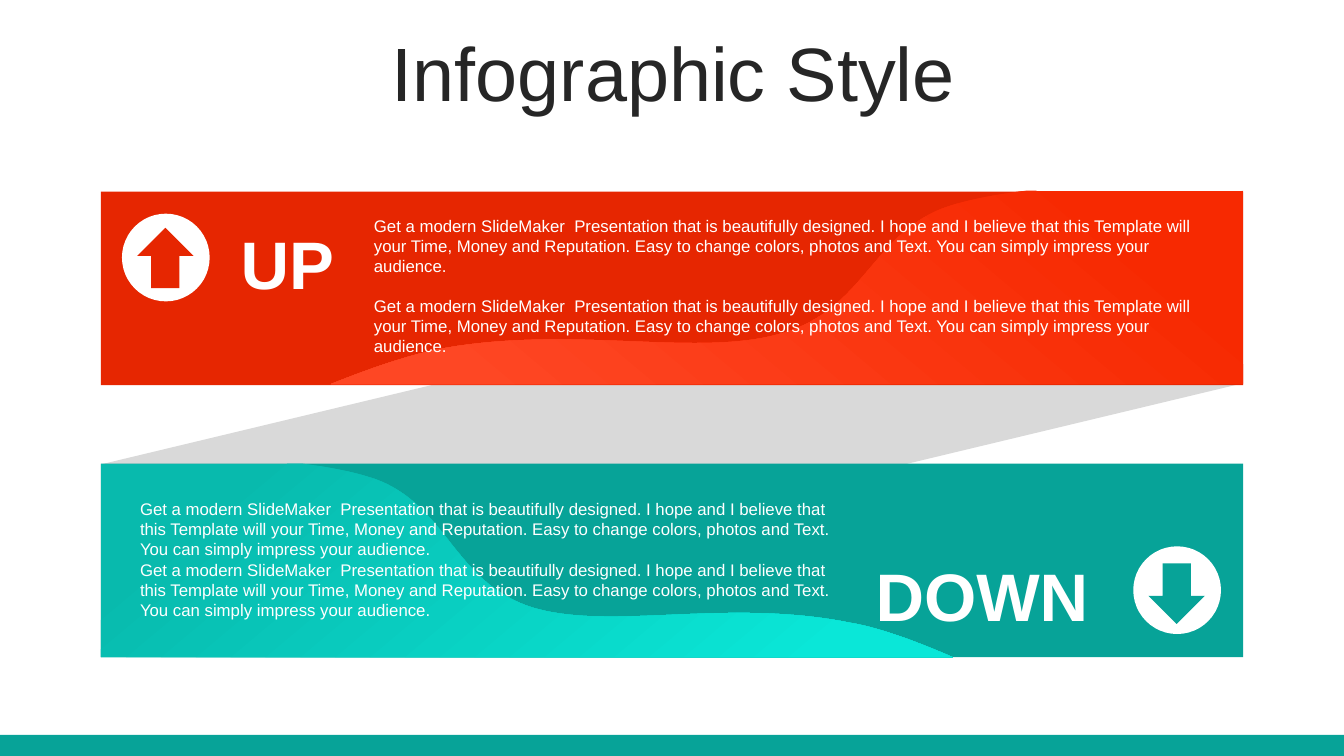
from dataclasses import dataclass

from lxml import etree
from pptx import Presentation
from pptx import util as u
from pptx.dml.color import RGBColor
from pptx.enum import shapes, text
from pptx.oxml.ns import qn

EMU_PER_PX = 9144  # 100 px to the inch

Point = tuple[int, int]
Box = tuple[int, int, int, int]  # left, top, width, height


@dataclass(frozen=True)
class Theme:
    font: str = "Arial"
    title_color: str = "262626"
    white: str = "FFFFFF"
    ribbon: str = "D9D9D9"
    red: str = "E62601"
    red_wave: tuple[str, str] = ("F72901", "FE4724")
    teal: str = "07A398"
    teal_wave: tuple[str, str] = ("08BAAD", "0AE7D8")
    title_size: int = 54
    label_size: int = 48
    body_size: int = 12


@dataclass(frozen=True)
class Panel:
    label: str
    label_box: Box
    body_box: Box
    paragraph_gap: int
    box: Box
    color: str
    wave_colors: tuple[str, str]
    wave_angle: int
    wave_corners: list[Point]
    wave_curves: list[tuple[Point, Point, Point]]
    circle_box: Box
    arrow_box: Box
    arrow_rotation: int


THEME = Theme()
BODY = (
    "Get a modern SlideMaker  Presentation that is beautifully designed. "
    "I hope and I believe that this Template will your Time, Money and Reputation. "
    "Easy to change colors, photos and Text. You can simply impress your audience."
)

PANELS = [
    Panel(
        label="UP", label_box=(223, 220, 124, 81),
        body_box=(361, 209, 835, 111), paragraph_gap=14,
        box=(100, 190, 1133, 192), color=THEME.red,
        wave_colors=THEME.red_wave, wave_angle=230,
        wave_corners=[(1019, 189), (1233, 189), (1233, 381), (328, 381)],
        wave_curves=[
            ((368, 365), (406, 352), (437, 346)),
            ((568, 322), (691, 355), (774, 331)),
            ((856, 308), (864, 235), (934, 207)),
            ((955, 199), (986, 193), (1019, 189)),
        ],
        circle_box=(121, 212, 87, 87), arrow_box=(136, 226, 56, 60),
        arrow_rotation=0,
    ),
    Panel(
        label="DOWN", label_box=(832, 549, 284, 81),
        body_box=(129, 490, 718, 131), paragraph_gap=0,
        box=(100, 460, 1133, 192), color=THEME.teal,
        wave_colors=THEME.teal_wave, wave_angle=310,
        wave_corners=[(300, 460), (100, 460), (100, 652), (945, 652)],
        wave_curves=[
            ((908, 636), (873, 623), (844, 618)),
            ((721, 593), (607, 626), (529, 603)),
            ((452, 579), (445, 507), (379, 478)),
            ((360, 470), (331, 464), (300, 460)),
        ],
        circle_box=(1124, 542, 87, 87), arrow_box=(1139, 559, 56, 60),
        arrow_rotation=180,
    ),
]


def px(value: int) -> int:
    return value * EMU_PER_PX


def rgb(color: str) -> RGBColor:
    return RGBColor.from_string(color)


def add_preset(slide, kind, box: Box, color: str, *, rotation: int = 0):
    shape = slide.shapes.add_shape(kind, *map(px, box))
    shape.shadow.inherit = False
    shape.fill.solid()
    shape.fill.fore_color.rgb = rgb(color)
    shape.line.fill.background()
    shape.rotation = rotation
    return shape


def write_paragraph(paragraph, content: str, *, size: int, color: str,
                    bold: bool = False, align=text.PP_ALIGN.LEFT,
                    space_before: int = 0) -> None:
    paragraph.text = content
    paragraph.alignment = align
    paragraph.space_before = u.Pt(space_before)
    paragraph.font.name = THEME.font
    paragraph.font.size = u.Pt(size)
    paragraph.font.bold = bold
    paragraph.font.color.rgb = rgb(color)


def add_text_frame(slide, box: Box):
    frame = slide.shapes.add_textbox(*map(px, box)).text_frame
    frame.word_wrap = True
    return frame


def bend_lines(shape, first_line: int) -> None:
    """Turn each three lines from first_line on into one cubic curve."""
    lines = list(shape._element.iter(qn("a:lnTo")))[first_line:]
    for start in range(0, len(lines), 3):
        curve = etree.Element(qn("a:cubicBezTo"))
        lines[start].addprevious(curve)
        for line in lines[start:start + 3]:
            curve.append(line[0])
            line.getparent().remove(line)


def add_wave(slide, panel: Panel) -> None:
    controls = [point for curve in panel.wave_curves for point in curve]
    outline = panel.wave_corners + controls
    builder = slide.shapes.build_freeform(*outline[0], scale=EMU_PER_PX)
    builder.add_line_segments(outline[1:], close=True)
    shape = builder.convert_to_shape()
    bend_lines(shape, first_line=len(panel.wave_corners) - 1)
    shape.shadow.inherit = False
    shape.line.fill.background()
    shape.fill.gradient()
    shape.fill.gradient_angle = panel.wave_angle
    stops = zip(shape.fill.gradient_stops, panel.wave_colors, (0.14, 0.88))
    for stop, color, position in stops:
        stop.color.rgb = rgb(color)
        stop.position = position


def add_panel(slide, panel: Panel) -> None:
    # Coloured band with its wave
    add_preset(slide, shapes.MSO_SHAPE.RECTANGLE, panel.box, panel.color)
    add_wave(slide, panel)

    # Large label
    frame = add_text_frame(slide, panel.label_box)
    frame.margin_left = frame.margin_right = 0
    frame.margin_top = frame.margin_bottom = 0
    frame.vertical_anchor = text.MSO_ANCHOR.BOTTOM
    write_paragraph(frame.paragraphs[0], panel.label, size=THEME.label_size,
                    color=THEME.white, bold=True, align=text.PP_ALIGN.CENTER)

    # Arrow in a circle
    add_preset(slide, shapes.MSO_SHAPE.OVAL, panel.circle_box, THEME.white)
    add_preset(slide, shapes.MSO_SHAPE.UP_ARROW, panel.arrow_box, panel.color,
               rotation=panel.arrow_rotation)

    # Body text
    frame = add_text_frame(slide, panel.body_box)
    write_paragraph(frame.paragraphs[0], BODY, size=THEME.body_size,
                    color=THEME.white)
    write_paragraph(frame.add_paragraph(), BODY, size=THEME.body_size,
                    color=THEME.white, space_before=panel.paragraph_gap)


def add_title(slide, content: str) -> None:
    title = slide.shapes.title
    title.left, title.top, title.width, title.height = map(px, (35, 37, 1266, 79))
    frame = title.text_frame
    frame.auto_size = text.MSO_AUTO_SIZE.NONE
    frame.vertical_anchor = text.MSO_ANCHOR.MIDDLE
    write_paragraph(frame.paragraphs[0], content, size=THEME.title_size,
                    color=THEME.title_color, align=text.PP_ALIGN.CENTER)
    frame.paragraphs[0].line_spacing = 0.9


def main() -> None:
    presentation = Presentation()
    presentation.slide_width, presentation.slide_height = px(1333), px(750)
    slide = presentation.slides.add_slide(presentation.slide_layouts[5])
    add_title(slide, "Infographic Style")

    # Footer strip
    add_preset(slide, shapes.MSO_SHAPE.RECTANGLE, (0, 729, 1333, 21), THEME.teal)

    # Folded ribbon between the panels
    ribbon = add_preset(slide, shapes.MSO_SHAPE.PARALLELOGRAM,
                        (435, -146, 463, 1133), THEME.ribbon, rotation=270)
    ribbon.adjustments[0] = 0.587
    ribbon._element.spPr.find(qn("a:xfrm")).set("flipH", "1")

    for panel in PANELS:
        add_panel(slide, panel)
    presentation.save("out.pptx")


if __name__ == "__main__":
    main()
